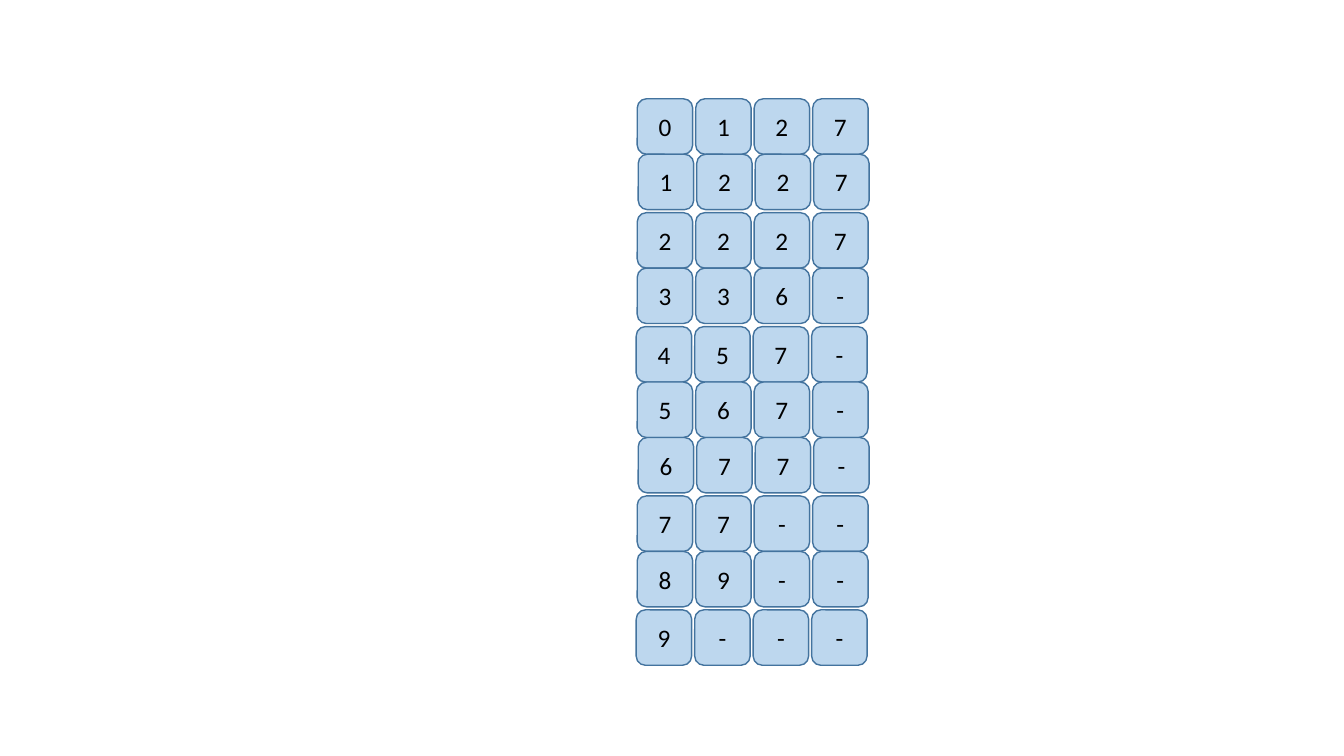
from pptx import Presentation
from pptx import util as u
from pptx.dml import color
from pptx.enum import shapes, text

COLORS = {"fill": "BDD7EE", "line": "43739E", "text": "000000"}
CELL = 0.55
COLUMN_PITCH = 0.58
ROWS = [
    (6.32, 0.98, "0127"),
    (6.33, 1.53, "1227"),
    (6.32, 2.11, "2227"),
    (6.32, 2.66, "336-"),
    (6.31, 3.24, "457-"),
    (6.32, 3.79, "567-"),
    (6.33, 4.34, "677-"),
    (6.32, 4.92, "77--"),
    (6.32, 5.47, "89--"),
    (6.31, 6.05, "9---"),
]


class Deck:
    font = "Calibri"
    size = u.Pt(18)
    line_width = u.Pt(1)

    def __init__(self, slide):
        self.slide = slide

    def rgb(self, name):
        return color.RGBColor.from_string(COLORS[name])

    def cell(self, left, top, value):
        sp = self.slide.shapes.add_shape(
            shapes.MSO_SHAPE.ROUNDED_RECTANGLE,
            u.Inches(left), u.Inches(top), u.Inches(CELL), u.Inches(CELL))
        sp.shadow.inherit = False
        sp.fill.solid()
        sp.fill.fore_color.rgb = self.rgb("fill")
        sp.line.color.rgb = self.rgb("line")
        sp.line.width = self.line_width
        tf = sp.text_frame
        tf.text = value
        tf.vertical_anchor = text.MSO_ANCHOR.MIDDLE
        p = tf.paragraphs[0]
        p.alignment = text.PP_ALIGN.CENTER
        r = p.runs[0]
        r.font.name = self.font
        r.font.size = self.size
        r.font.color.rgb = self.rgb("text")

    def row(self, left, top, values):
        for column, value in enumerate(values):
            self.cell(left + column * COLUMN_PITCH, top, value)


prs = Presentation()
prs.slide_width = u.Inches(13.33)
prs.slide_height = u.Inches(7.5)
s = prs.slides.add_slide(prs.slide_layouts[6])
deck = Deck(s)
for left, top, values in ROWS:
    deck.row(left, top, values)
prs.save("out.pptx")
